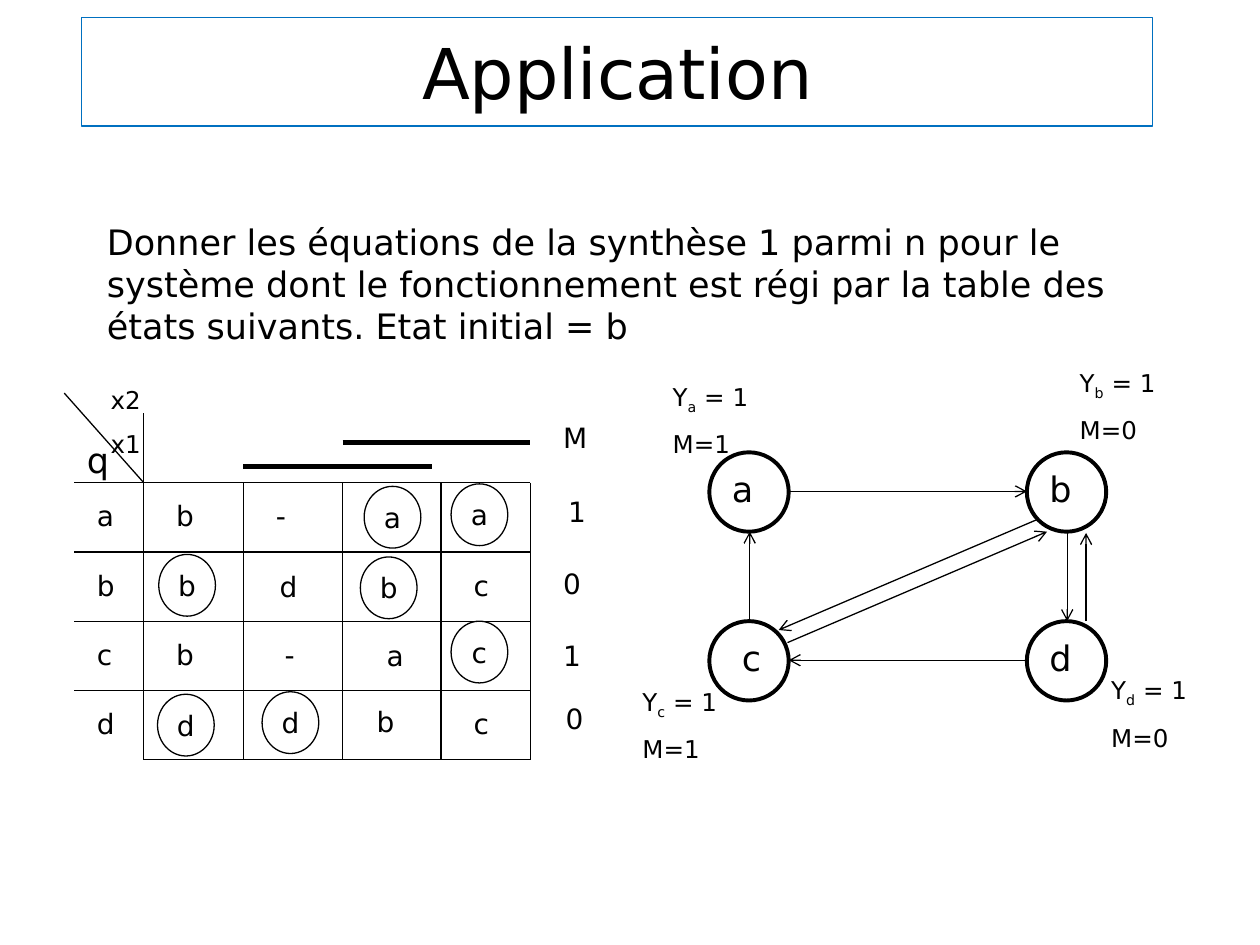
import pptx
import pptx.util
import pptx.dml.color
import pptx.enum.shapes
import pptx.enum.text
import pptx.oxml.ns
import lxml.etree

Inches = pptx.util.Inches
Pt = pptx.util.Pt
FONT = "DejaVu Sans"
COLORS = {
    name: pptx.dml.color.RGBColor.from_string(value)
    for name, value in {"black": "000000", "white": "FFFFFF", "blue": "0070C0"}.items()
}

prs = pptx.Presentation()
prs.slide_width, prs.slide_height = Inches(10), Inches(7.5)
s = prs.slides.add_slide(prs.slide_layouts[6])


def add_text(box, paragraphs, size, shape=None, line="black", weight=0.75, wrap=True):
    place = [Inches(v) for v in box]
    if shape is None:
        sp = s.shapes.add_textbox(*place)
    else:
        sp = s.shapes.add_shape(shape, *place)
        sp.shadow.inherit = False
        sp.fill.background()
        sp.line.color.rgb = COLORS[line]
        sp.line.width = Pt(weight)
    tf = sp.text_frame
    tf.word_wrap = wrap
    if shape is not None:
        tf.vertical_anchor = pptx.enum.text.MSO_ANCHOR.MIDDLE
    for i, runs in enumerate(paragraphs):
        p = tf.paragraphs[0] if i == 0 else tf.add_paragraph()
        if i:
            p.space_before = Pt(8)
        p.alignment = pptx.enum.text.PP_ALIGN.LEFT if shape is None else pptx.enum.text.PP_ALIGN.CENTER
        for j, text in enumerate(runs):
            r = p.add_run()
            r.text = text
            r.font.size = Pt(size)
            r.font.name = FONT
            r.font.color.rgb = COLORS["black"]
            if j == 1:
                r.font._element.set("baseline", "-25000")
    return sp


def add_line(x1, y1, x2, y2, weight=0.75, arrow=False):
    cx = s.shapes.add_connector(
        pptx.enum.shapes.MSO_CONNECTOR.STRAIGHT, Inches(x1), Inches(y1), Inches(x2), Inches(y2)
    )
    cx.line.color.rgb = COLORS["black"]
    cx.line.width = Pt(weight)
    if arrow:
        tail = lxml.etree.SubElement(cx.line._get_or_add_ln(), pptx.oxml.ns.qn("a:tailEnd"))
        tail.set("type", "arrow")
    lxml.etree.SubElement(cx._element.spPr, pptx.oxml.ns.qn("a:effectLst"))


RECT = pptx.enum.shapes.MSO_SHAPE.RECTANGLE
OVAL = pptx.enum.shapes.MSO_SHAPE.OVAL

add_text((0.65, 0.14, 8.5, 0.86), [["Application"]], 40, RECT, "blue")
add_text(
    (0.75, 1.7, 8.5, 4.5),
    [["Donner les équations de la synthèse 1 parmi n pour le système dont le "
      "fonctionnement est régi par la table des états suivants. Etat initial = b"]],
    20,
)

left, right, top, row_height = 0.59, 4.21, 3.83, 0.55
bottom = top + 4 * row_height
for i in range(5):
    add_line(left if i < 4 else 1.14, top + i * row_height, right, top + i * row_height)
for x in (1.14, 1.93, 2.72, 3.5, right):
    add_line(x, 3.28 if x == 1.14 else top, x, bottom)
add_line(1.14, top, 0.51, 3.12)
add_line(2.72, 3.51, right, 3.51, 3)
add_line(1.93, 3.7, 3.43, 3.7, 3)
add_text((0.78, 3.01, 0.47, 0.68), [["x2"], ["x1"]], 14)
add_text((0.59, 3.43, 0.39, 0.43), [["q"]], 20)

for i, state in enumerate("abcd"):
    add_text((0.67, 3.91 + i * row_height, 0.32, 0.37), [[state]], 16)

cells = [
    ("b", 1.3, 3.91), ("-", 2.09, 3.91),
    ("d", 2.12, 4.47), ("c", 3.66, 4.46),
    ("b", 1.3, 5.01), ("-", 2.16, 5.01), ("a", 2.97, 5.02),
    ("b", 2.89, 5.54), ("c", 3.66, 5.56),
    ("M", 4.37, 3.29), ("1", 4.41, 3.88), ("0", 4.37, 4.45), ("1", 4.37, 5.02), ("0", 4.39, 5.52),
]
for label, x, y in cells:
    add_text((x, y, 0.32, 0.37), [[label]], 16, wrap=False)

stable_states = [
    ("a", 2.89, 3.86), ("a", 3.58, 3.84),
    ("b", 1.26, 4.4), ("b", 2.86, 4.42),
    ("c", 3.58, 4.93),
    ("d", 1.25, 5.51), ("d", 2.08, 5.49),
]
for label, x, y in stable_states:
    add_text((x, y, 0.45, 0.49), [[label]], 16, OVAL, wrap=False)

nodes = [
    ("a", 5.63, 3.59, 0.08, "1", 5.24, 2.98),
    ("b", 8.15, 3.59, 0.08, "0", 8.47, 2.87),
    ("c", 5.63, 4.93, 0.16, "1", 5, 5.4),
    ("d", 8.15, 4.93, 0.08, "0", 8.72, 5.31),
]
for state, x, y, indent, output, label_x, label_y in nodes:
    sp = add_text((x, y, 0.63, 0.63), [], 20, OVAL, weight=2.25)
    sp.fill.solid()
    sp.fill.fore_color.rgb = COLORS["white"]
    add_text((x + indent, y + 0.07, 0.47, 0.44), [[state]], 20)
    add_text((label_x, label_y, 1.42, 0.69), [["Y", state, " = 1"], ["M=" + output]], 14)

transitions = [
    (6.26, 3.9, 8.15, 3.9),
    (8.47, 4.22, 8.47, 4.93),
    (8.15, 5.24, 6.26, 5.24),
    (5.95, 4.93, 5.95, 4.22),
    (8.24, 4.12, 6.18, 5),
    (6.25, 5.1, 8.31, 4.22),
    (8.62, 4.93, 8.62, 4.23),
]
for ends in transitions:
    add_line(*ends, arrow=True)

prs.save("out.pptx")
